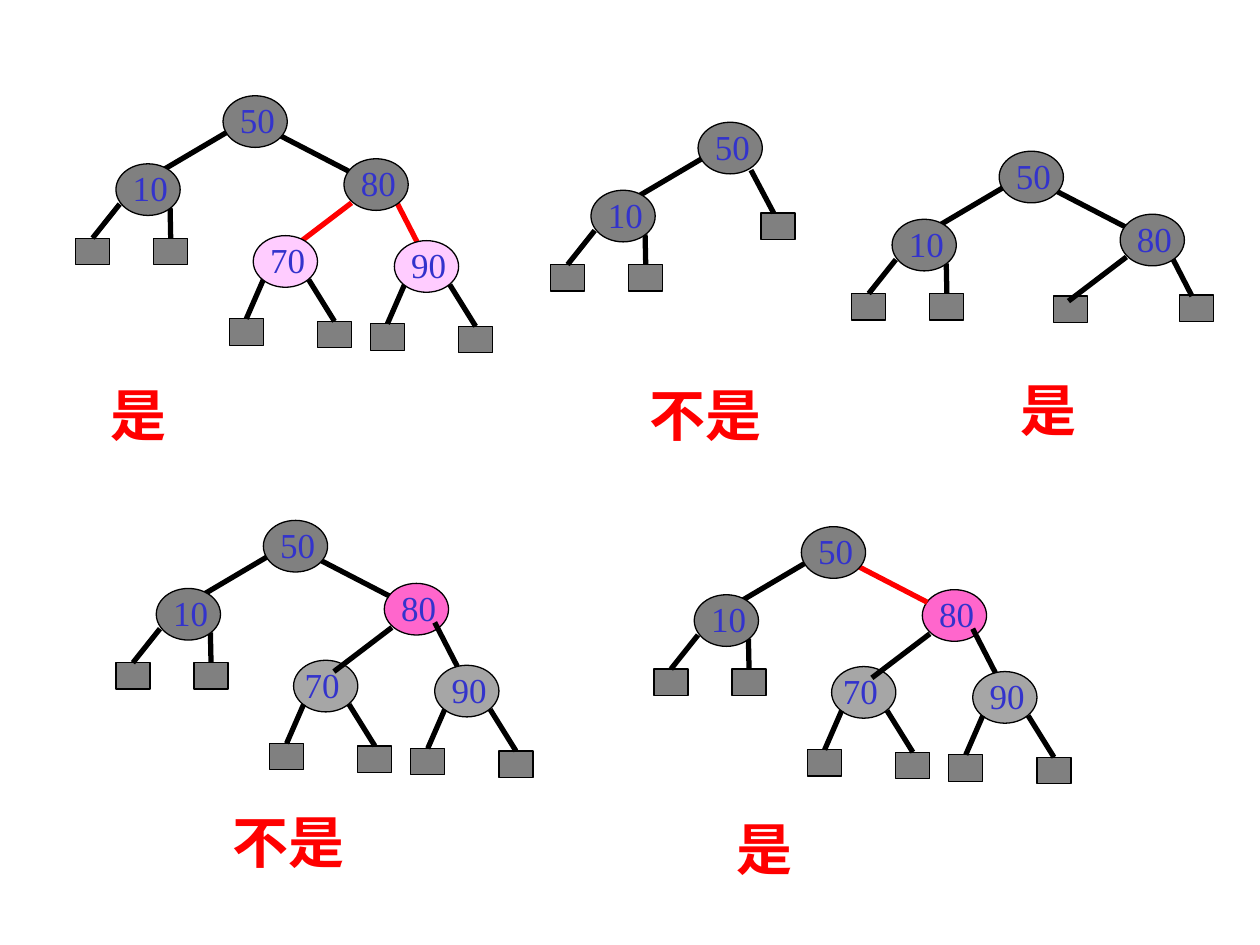
from dataclasses import dataclass, field
from typing import NamedTuple, Optional

import pptx
import pptx.dml.color
import pptx.enum.shapes
import pptx.enum.text
import pptx.oxml.ns
import pptx.util

# The slide is a grid of 100 columns by 75 rows; every length counts cells.
COLS = 100
FONT = "Times New Roman"
BLACK, RED, BLUE = "000000", "FF0000", "3333CC"
GREY, SILVER, ROSE, PINK = "808080", "A6A6A6", "FFCCFF", "FF66CC"
NODE_W, NODE_H = 5.1, 4.1
LEAF_W, LEAF_H = 2.7, 2.1


class Point(NamedTuple):
    x: float
    y: float

    def plus(self, other: "Point") -> "Point":
        return Point(self.x + other.x, self.y + other.y)


class Branch(NamedTuple):
    """Line between two keys, both ends measured from the root."""
    start: Point
    end: Point


class Leaf(NamedTuple):
    """Empty subtree, measured from its parent; joined at top middle if no end."""
    start: Point
    corner: Point
    end: Optional[Point] = None


@dataclass
class Tree:
    root: Point
    keys: str
    verdict: str
    verdict_at: Point
    fills: dict = field(default_factory=dict)
    red_branches: tuple = ()
    behind: tuple = ()  # keys that lie under the lines


KEY_AT = {
    "50": Point(0, 0), "10": Point(-8.5, 5.4), "80": Point(9.6, 5.0),
    "70": Point(2.4, 11.1), "90": Point(13.6, 11.5),
}
BRANCHES = {
    "10": Branch(Point(0.3, 2.9), Point(-5.8, 6.5)),
    "80": Branch(Point(4.4, 3.1), Point(10, 6)),
    "70": Branch(Point(10.2, 8.5), Point(5.6, 12)),
    "90": Branch(Point(13.6, 8.1), Point(15.4, 11.6)),
}
LOW_LEAVES = (Leaf(Point(0.8, 3.5), Point(-1.9, 6.6)),
              Leaf(Point(4.4, 3.5), Point(5.1, 6.8)))
LEAVES = {
    "10": (Leaf(Point(0.3, 3.2), Point(-3.2, 5.9)),
           Leaf(Point(4.3, 3.5), Point(3.0, 5.9))),
    "70": LOW_LEAVES,
    "90": LOW_LEAVES,
}
# Leaves of a key whose own children are missing
BARE_LEAVES = {
    "80": (Leaf(Point(0.5, 3.4), Point(-5.3, 6.5), Point(-4.1, 6.9)),
           Leaf(Point(3.9, 3.0), Point(4.7, 6.4), Point(5.7, 6.5))),
    "50": (Leaf(Point(4.2, 3.8), Point(5.0, 7.2), Point(6.0, 7.2)),),
}
CHILD_OF = {"50": "80", "80": "70"}
FULL = "50 10 80 70 90"
PINK_FILLS = {"80": PINK, "70": SILVER, "90": SILVER}
LOWER_KEYS = ("90", "70", "80")

TREES = (
    Tree(Point(17.7, 7.6), FULL, "是", Point(7.8, 29.6),
         {"70": ROSE, "90": ROSE}, ("70", "90")),
    Tree(Point(55.4, 9.7), "50 10", "不是", Point(50.6, 29.6)),
    Tree(Point(79.3, 12.0), "50 10 80", "是", Point(80, 29.2)),
    Tree(Point(20.9, 41.3), FULL, "不是", Point(17.5, 63.5),
         PINK_FILLS, behind=LOWER_KEYS),
    Tree(Point(63.6, 41.8), FULL, "是", Point(57.5, 64.1),
         PINK_FILLS, ("80",), LOWER_KEYS),
)

prs = pptx.Presentation()
prs.slide_width = pptx.util.Inches(10)
prs.slide_height = pptx.util.Inches(7.5)
CELL = prs.slide_width / COLS
s = prs.slides.add_slide(prs.slide_layouts[6])


def cells(*lengths: float) -> list[int]:
    return [round(n * CELL) for n in lengths]


def rgb(value: str) -> pptx.dml.color.RGBColor:
    return pptx.dml.color.RGBColor.from_string(value)


def draw_shape(kind: str, at: Point, w: float, h: float, fill: str):
    preset = getattr(pptx.enum.shapes.MSO_SHAPE, kind)
    sp = s.shapes.add_shape(preset, *cells(at.x, at.y, w, h))
    sp.shadow.inherit = False
    sp.fill.solid()
    sp.fill.fore_color.rgb = rgb(fill)
    sp.line.color.rgb = rgb(BLACK)
    sp.line.width = pptx.util.Pt(0.75)
    return sp


def draw_line(start: Point, end: Point, color: str = BLACK):
    straight = pptx.enum.shapes.MSO_CONNECTOR.STRAIGHT
    line = s.shapes.add_connector(straight, *cells(*start, *end))
    line.line.color.rgb = rgb(color)
    line.line.width = pptx.util.Pt(3)
    effects = pptx.oxml.parse_xml(
        "<a:effectLst %s/>" % pptx.oxml.ns.nsdecls("a"))
    line._element.spPr.append(effects)
    return line


def draw_text(text: str, at: Point, w: float, h: float, size: int,
              color: str, bold: bool = False) -> None:
    tf = s.shapes.add_textbox(*cells(at.x, at.y, w, h)).text_frame
    tf.word_wrap = True
    tf.vertical_anchor = pptx.enum.text.MSO_ANCHOR.BOTTOM
    tf.text = text
    r = tf.paragraphs[0].runs[0]
    r.font.name = FONT
    r.font.size = pptx.util.Pt(size)
    r.font.bold = bold
    r.font.color.rgb = rgb(color)


def draw_key(tree: Tree, key: str) -> None:
    at = tree.root.plus(KEY_AT[key])
    draw_shape("OVAL", at, NODE_W, NODE_H, tree.fills.get(key, GREY))
    inset = -0.1 if key == "70" and key in tree.behind else 0.35
    draw_text(key, at.plus(Point(inset, -0.35)), 6.1, 4.4, 20, BLUE)


def draw_leaf(parent: Point, leaf: Leaf) -> None:
    corner = parent.plus(leaf.corner)
    box = draw_shape("RECTANGLE", corner, LEAF_W, LEAF_H, GREY)
    top = corner.plus(Point(LEAF_W / 2, 0))
    end = parent.plus(leaf.end) if leaf.end else top
    line = draw_line(parent.plus(leaf.start), end)
    if leaf.end is None:
        line.end_connect(box, 0)


def draw_tree(tree: Tree) -> None:
    keys = tree.keys.split()
    for key in tree.behind:
        draw_key(tree, key)
    for key in keys:
        if key in BRANCHES:
            color = RED if key in tree.red_branches else BLACK
            draw_line(*(tree.root.plus(p) for p in BRANCHES[key]), color)
        bare = CHILD_OF.get(key) not in keys
        leaves = LEAVES.get(key) or (BARE_LEAVES[key] if bare else ())
        for leaf in leaves:
            draw_leaf(tree.root.plus(KEY_AT[key]), leaf)
    for key in keys:
        if key not in tree.behind:
            draw_key(tree, key)
    draw_text(tree.verdict, tree.verdict_at, 13, 6.4, 32, RED, bold=True)


for tree in TREES:
    draw_tree(tree)
prs.save("out.pptx")
